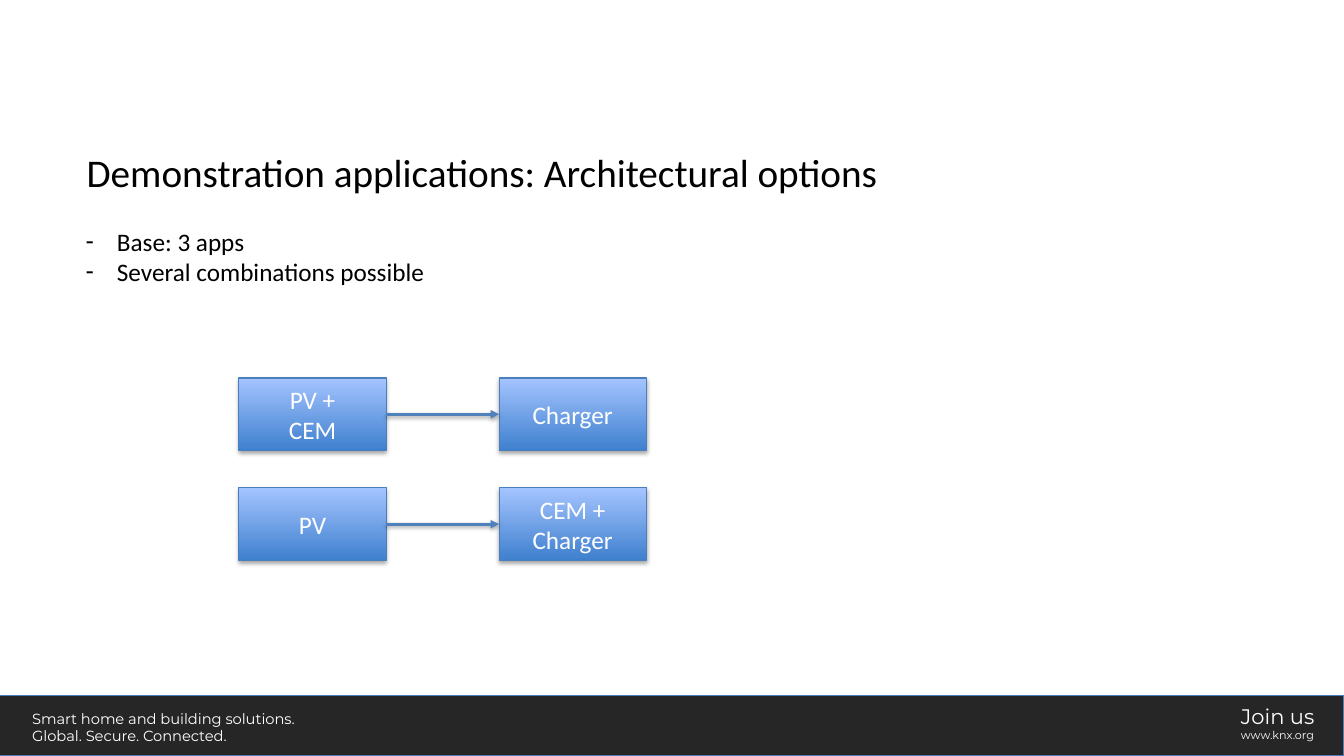
from lxml.etree import SubElement
from pptx import Presentation
from pptx.dml.color import RGBColor
from pptx.enum.shapes import MSO_CONNECTOR, MSO_SHAPE
from pptx.enum.text import MSO_ANCHOR, MSO_AUTO_SIZE, PP_ALIGN
from pptx.oxml.ns import qn
from pptx.util import Inches, Pt

BLACK = RGBColor(0x00, 0x00, 0x00)
WHITE = RGBColor(0xFF, 0xFF, 0xFF)
CHARCOAL = RGBColor(0x26, 0x26, 0x26)
FOOTER_EDGE = RGBColor(0x4A, 0x7E, 0xBB)
BOX_EDGE = RGBColor(0x4B, 0x7E, 0xBC)
BOX_BOTTOM = RGBColor(0x3F, 0x80, 0xCE)
BOX_TOP = RGBColor(0xA4, 0xC4, 0xFF)
ARROW_BLUE = RGBColor(0x4F, 0x81, 0xBD)
SHADOW_GREY = RGBColor(0x80, 0x80, 0x80)


def write(frame, lines, sizes, font, color, align=PP_ALIGN.LEFT, bullet=None):
    frame.word_wrap = True
    frame.auto_size = MSO_AUTO_SIZE.NONE
    frame.text = "\n".join(lines)
    for paragraph, size in zip(frame.paragraphs, sizes):
        paragraph.alignment = align
        paragraph.space_before = Pt(0)
        if bullet:
            props = paragraph._p.get_or_add_pPr()
            props.set("marL", str(Inches(0.31)))
            props.set("indent", str(-Inches(0.31)))
            SubElement(props, qn("a:buChar"), char=bullet)
        paragraph.font.size = Pt(size)
        paragraph.font.name = font
        paragraph.font.color.rgb = color


def drop_shadow(shape, color, opacity, distance):
    effects = SubElement(shape._element.spPr, qn("a:effectLst"))
    outer = SubElement(effects, qn("a:outerShdw"), blurRad=str(Pt(3.1)),
                       dist=str(Pt(distance)), dir="5400000", rotWithShape="0")
    tint = SubElement(outer, qn("a:srgbClr"), val=str(color))
    SubElement(tint, qn("a:alpha"), val=str(opacity * 1000))


prs = Presentation()
prs.slide_width, prs.slide_height = Inches(13.33), Inches(7.5)
slide = prs.slides.add_slide(prs.slide_layouts[1])
shapes = slide.shapes

# Footer band
footer = shapes.add_shape(MSO_SHAPE.RECTANGLE, 0, Inches(6.9), prs.slide_width, Inches(0.6))
footer.fill.solid()
footer.fill.fore_color.rgb = CHARCOAL
footer.line.color.rgb = FOOTER_EDGE
footer.line.width = Pt(0.75)
drop_shadow(footer, SHADOW_GREY, 35, 1.8)

footer_notes = [
    (0.22, 6.99, 2.93, 0.45,
     ["Smart home and building solutions.", "Global. Secure. Connected."], [10.5, 10.5]),
    (12.21, 6.93, 0.94, 0.51, ["Join us", "www.knx.org"], [15, 8]),
]
for left, top, width, height, lines, sizes in footer_notes:
    note = shapes.add_textbox(Inches(left), Inches(top), Inches(width), Inches(height))
    write(note.text_frame, lines, sizes, "Montserrat", WHITE)

# Title and bullet list
title = shapes.title
title.left, title.top = Inches(0.76), Inches(1.42)
title.width, title.height = Inches(9.21), Inches(0.57)
title.text_frame.vertical_anchor = MSO_ANCHOR.TOP
write(title.text_frame, ["Demonstration applications: Architectural options"],
      [28], "Calibri", BLACK)

options = slide.placeholders[1]
options.left, options.top = Inches(0.75), Inches(2.19)
options.width, options.height = Inches(11.84), Inches(0.71)
write(options.text_frame, ["Base: 3 apps", "Several combinations possible"],
      [18, 18], "Calibri", BLACK, bullet="-")

# Architecture options: one pair of linked apps per row
architectures = [
    (["PV +", "CEM"], ["Charger"]),
    (["PV"], ["CEM +", "Charger"]),
]
for row, pair in enumerate(architectures):
    apps = []
    for column, lines in enumerate(pair):
        app = shapes.add_shape(MSO_SHAPE.RECTANGLE, Inches(2.37 + 2.58 * column),
                               Inches(3.75 + 1.09 * row), Inches(1.46), Inches(0.72))
        app.fill.gradient()
        app.fill.gradient_angle = 90
        for stop, color in zip(app.fill.gradient_stops, (BOX_BOTTOM, BOX_TOP)):
            stop.color.rgb = color
        app.line.color.rgb = BOX_EDGE
        app.line.width = Pt(0.75)
        drop_shadow(app, BLACK, 35, 1.8)
        app.text_frame.vertical_anchor = MSO_ANCHOR.MIDDLE
        write(app.text_frame, lines, [18] * len(lines), "Calibri", WHITE, PP_ALIGN.CENTER)
        apps.append(app)

    arrow = shapes.add_connector(MSO_CONNECTOR.STRAIGHT, 0, 0, 0, 0)
    arrow.begin_connect(apps[0], 3)
    arrow.end_connect(apps[1], 1)
    arrow.line.color.rgb = ARROW_BLUE
    arrow.line.width = Pt(2)
    SubElement(arrow.line._get_or_add_ln(), qn("a:tailEnd"), type="triangle")
    drop_shadow(arrow, BLACK, 38, 1.6)

prs.save("out.pptx")
